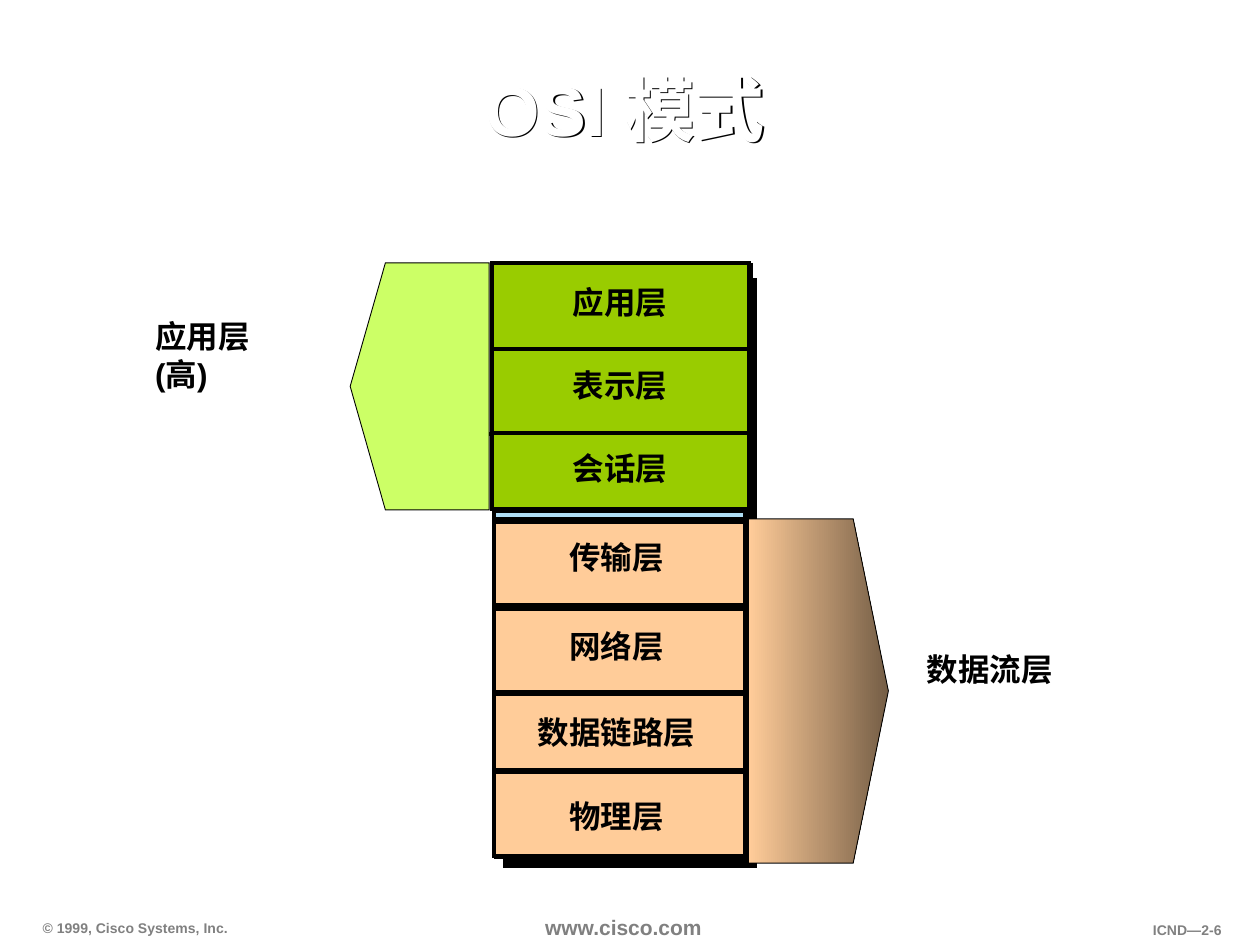
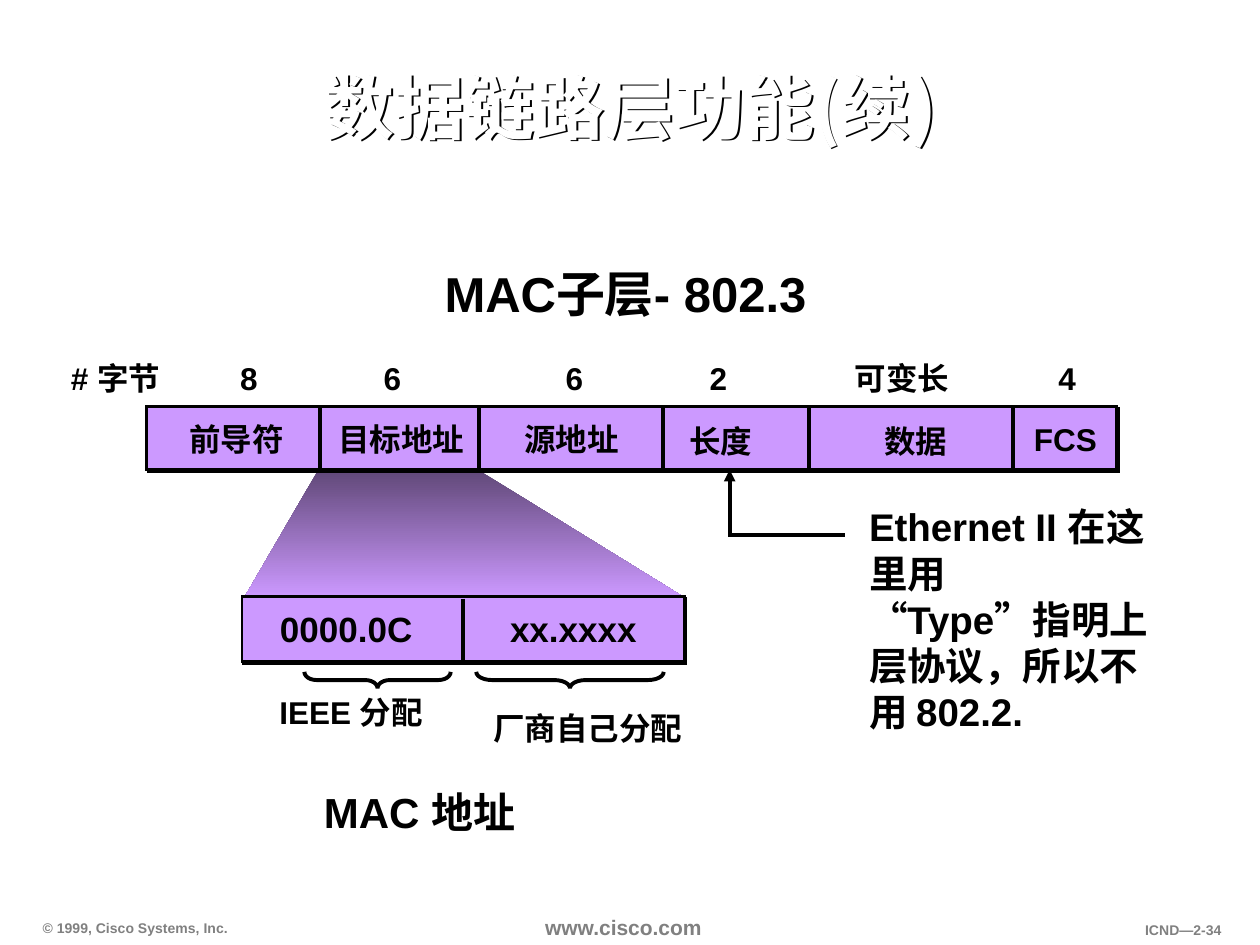
"""Builds two slides on the OSI layers and the MAC frame."""
from dataclasses import dataclass

from lxml import etree
from pptx import Presentation
from pptx import util as u
from pptx.dml.color import RGBColor
from pptx.enum import shapes, text
from pptx.oxml.ns import qn


@dataclass(frozen=True)
class Theme:
    """Colours, fonts, type sizes and line widths of the deck."""
    black: str = "000000"
    white: str = "FFFFFF"
    grey: str = "808080"
    stack: str = "B0DEF5"
    upper: str = "99CC00"
    upper_arrow: str = "CCFF66"
    lower: str = "FFCC99"
    lower_dark: str = "755E46"
    field: str = "CC99FF"
    field_dark: str = "5E4675"
    latin: str = "Arial"
    asian: str = "Noto Sans CJK SC"
    title: float = 40
    heading: float = 28
    caption: float = 24
    note: float = 22
    address: float = 20
    label: float = 18
    site: float = 12
    footer: float = 8
    hairline: float = 0.5
    thin: float = 1.5
    thick: float = 2.25
    shadow: float = 1.4
    deep_shadow: float = 8.5


THEME = Theme()
LEFT, CENTER, RIGHT = text.PP_ALIGN.LEFT, text.PP_ALIGN.CENTER, text.PP_ALIGN.RIGHT
TOP, MIDDLE, BOTTOM = text.MSO_ANCHOR.TOP, text.MSO_ANCHOR.MIDDLE, text.MSO_ANCHOR.BOTTOM


def lengths(values):
    """Turn centimetre values into lengths."""
    return [u.Cm(value) for value in values]


def cast_shadow(shape, distance):
    """Give a shape a hard black shadow to the lower right."""
    effects = etree.SubElement(shape._element.spPr, qn("a:effectLst"))
    shadow = etree.SubElement(effects, qn("a:outerShdw"), blurRad="0",
                              dist=str(int(u.Pt(distance))), dir="2700000",
                              algn="ctr", rotWithShape="0")
    etree.SubElement(shadow, qn("a:srgbClr"), val=THEME.black)


def add_text(page, lines, box, size, align=LEFT, anchor=TOP, color=THEME.black,
             wrap=False, spacing=1.0, inset=(0.25, 0.13), font=THEME.latin, fit=True):
    """Add a bold text box with one paragraph for each line."""
    shape = page.shapes.add_textbox(*lengths(box))
    frame = shape.text_frame
    frame.word_wrap = wrap
    frame.vertical_anchor = anchor
    frame.auto_size = (text.MSO_AUTO_SIZE.SHAPE_TO_FIT_TEXT if fit
                       else text.MSO_AUTO_SIZE.NONE)
    frame.margin_left = frame.margin_right = u.Cm(inset[0])
    frame.margin_top = frame.margin_bottom = u.Cm(inset[1])
    for index, line in enumerate(lines):
        para = frame.add_paragraph() if index else frame.paragraphs[0]
        para.alignment = align
        para.line_spacing = spacing
        span = para.add_run()
        span.text = line
        span.font.size = u.Pt(size)
        span.font.bold = True
        span.font.name = font
        span.font.color.rgb = RGBColor.from_string(color)
        asian = etree.Element(qn("a:ea"), typeface=THEME.asian)
        span._r.get_or_add_rPr().find(qn("a:latin")).addnext(asian)
    return shape


def add_label(page, line, centre, top, size=THEME.label, height=1.02, spacing=1.0):
    """Add a one-line label that is centred on a given x."""
    width = 0.51 + sum(0.64 if ord(letter) > 255 else 0.42 for letter in line)
    add_text(page, [line], (centre - width / 2, top, width, height), size,
             CENTER, MIDDLE, spacing=spacing)


def style_outline(shape, width):
    """Give a shape or connector a black line with sharp corners."""
    shape.line.color.rgb = RGBColor.from_string(THEME.black)
    shape.line.width = u.Pt(width)
    etree.SubElement(shape.line._get_or_add_ln(), qn("a:miter"), lim="800000")


def add_box(page, box, color, width=THEME.thick, shadow=THEME.shadow):
    """Add an outlined rectangle with a hard shadow."""
    shape = page.shapes.add_shape(shapes.MSO_SHAPE.RECTANGLE, *lengths(box))
    shape.fill.solid()
    shape.fill.fore_color.rgb = RGBColor.from_string(color)
    style_outline(shape, width)
    cast_shadow(shape, shadow)


def add_rule(page, start, end):
    """Add a thick straight line."""
    rule = page.shapes.add_connector(shapes.MSO_CONNECTOR.STRAIGHT,
                                     *lengths((*start, *end)))
    style_outline(rule, THEME.thick)
    etree.SubElement(rule._element.spPr, qn("a:effectLst"))


def add_layer_rules(page, starts):
    """Add lines as wide as the stack from the given points."""
    for x, y in starts:
        add_rule(page, (x, y), (x + 5.07, y))


def add_outline(page, points, closed=True):
    """Add a freeform through the given points."""
    corners = [tuple(lengths(point)) for point in points]
    builder = page.shapes.build_freeform(*corners[0], scale=1.0)
    builder.add_line_segments(corners[1:], close=closed)
    shape = builder.convert_to_shape()
    shape.shadow.inherit = False
    return shape


def fill_gradient(shape, start, end, angle):
    """Fill a shape with a two-colour linear gradient."""
    shape.fill.gradient()
    shape.fill.gradient_angle = angle
    for stop, color, position in zip(shape.fill.gradient_stops, (start, end), (0, 1)):
        stop.color.rgb = RGBColor.from_string(color)
        stop.position = position


def add_group_arrow(page, base, shoulder, tip, top, bottom):
    """Add the five-sided arrow that marks a group of layers."""
    shape = add_outline(page, [(base, top), (shoulder, top), (tip, (top + bottom) / 2),
                               (shoulder, bottom), (base, bottom)])
    style_outline(shape, THEME.hairline)
    return shape


def add_brace(page, centre, middle, length, thickness=0.33):
    """Add a brace that opens upwards."""
    box = (centre - thickness / 2, middle - length / 2, thickness, length)
    brace = page.shapes.add_shape(shapes.MSO_SHAPE.RIGHT_BRACE, *lengths(box))
    brace.rotation = 90
    brace.adjustments[0] = length / 12 / thickness
    brace.fill.background()
    brace.shadow.inherit = False
    style_outline(brace, THEME.thick)


def add_elbow_arrow(page, points):
    """Add a bent line with an arrowhead at its start."""
    shape = add_outline(page, points, closed=False)
    shape.fill.background()
    style_outline(shape, THEME.thick)
    etree.SubElement(shape.line._get_or_add_ln(), qn("a:headEnd"), type="triangle")


def add_page(deck, number):
    """Add a blank slide with the shared footer."""
    page = deck.slides.add_slide(deck.slide_layouts[6])
    footers = [
        ("© 1999, Cisco Systems, Inc.", (0.64, 18.42, 4.27, 0.56), THEME.footer, LEFT, BOTTOM),
        ("www.cisco.com", (10.77, 18.34, 3.81, 0.71), THEME.site, LEFT, TOP),
        (f"ICND—{number}", (21.8, 18.47, 3.05, 0.56), THEME.footer, RIGHT, TOP),
    ]
    for line, box, size, align, anchor in footers:
        add_text(page, [line], box, size, align, anchor, THEME.grey, inset=(0.22, 0.1))
    return page


def add_title(page, line, box, font=THEME.latin):
    """Add the white shadowed title."""
    title = add_text(page, [line], box, THEME.title, CENTER, MIDDLE, THEME.white,
                     wrap=True, spacing=0.9, font=font, fit=False)
    cast_shadow(title, THEME.shadow)


def add_osi_slide(deck):
    """Build the slide with the seven OSI layers."""
    page = add_page(deck, "2-6")
    add_title(page, "OSI 模式", (2.01, 1.17, 21.18, 2.24))
    add_box(page, (9.96, 5.44, 5.05, 11.81), THEME.stack, shadow=THEME.deep_shadow)

    add_layer_rules(page, [(9.96, 12.22), (9.93, 13.97), (9.93, 10.46)])
    lower_layers = [("传输层", 10.52, 10.72), ("数据链路层", 13.94, 14.25),
                    ("网络层", 12.27, 12.52), ("物理层", 15.57, 15.94)]
    for name, top, label_top in lower_layers:
        if name == "物理层":
            add_layer_rules(page, [(9.98, 15.52), (10.03, 17.22)])
        add_box(page, (9.96, top, 5.05, 1.68), THEME.lower)
        add_label(page, name, 12.43, label_top)
    flow_arrow = add_group_arrow(page, 15.09, 17.2, 17.91, 10.46, 17.4)
    fill_gradient(flow_arrow, THEME.lower_dark, THEME.lower, 180)
    add_label(page, "数据流层", 19.95, 12.98)

    upper_layers = [("应用层", 5.31, 1.73, 5.58), ("表示层", 7.04, 1.68, 7.25),
                    ("会话层", 8.74, 1.52, 8.92)]
    add_layer_rules(page, [(9.91, 7.04), (9.91, 8.79), (9.86, 8.74)])
    for name, top, height, label_top in upper_layers:
        add_box(page, (9.92, top, 5.18, height), THEME.upper)
        add_label(page, name, 12.5, label_top)
    application_arrow = add_group_arrow(page, 9.86, 7.77, 7.06, 5.3, 10.28)
    application_arrow.fill.solid()
    application_arrow.fill.fore_color.rgb = RGBColor.from_string(THEME.upper_arrow)
    add_text(page, ["应用层", "(高)"], (2.88, 6.26, 2.54, 1.78), THEME.label)


def add_mac_slide(deck):
    """Build the slide with the 802.3 frame and the MAC address."""
    page = add_page(deck, "2-34")
    add_title(page, "数据链路层功能(续)", (2.13, 0.66, 21.18, 3.18), THEME.asian)
    add_text(page, ["MAC子层- 802.3"], (8.31, 5.18, 8.6, 1.45), THEME.heading,
             CENTER, MIDDLE)

    zoom = add_outline(page, [(6.45, 9.42), (4.93, 12.04), (13.79, 12.04), (9.63, 9.47)])
    fill_gradient(zoom, THEME.field_dark, THEME.field, 270)
    zoom.line.fill.background()

    add_box(page, (2.95, 8.2, 19.56, 1.27), THEME.field, THEME.thin)
    for x in (6.45, 9.65, 13.36, 16.31, 20.42):
        add_rule(page, (x, 8.2), (x, 9.47))
    fields = [("前导符", 4.77, "8", 5.02), ("目标地址", 8.09, "6", 7.91),
              ("源地址", 11.52, "6", 11.58), ("长度", 14.53, "2", 14.48),
              ("数据", 18.46, "可变长", 18.18), ("FCS", 21.48, "4", 21.51)]
    add_label(page, "# 字节", 2.33, 7.11)
    for name, centre, octets, octets_centre in fields:
        add_label(page, name, centre, 8.37 if name in ("长度", "数据") else 8.33)
        add_label(page, octets, octets_centre, 7.11)

    add_box(page, (4.88, 12.02, 8.92, 1.32), THEME.field, THEME.thin)
    add_rule(page, (9.33, 12.07), (9.33, 13.34))
    halves = [("0000.0C", 6.98, "IEEE 分配", 7.08, 13.95, 7.61, 2.95),
              ("xx.xxxx", 11.56, "厂商自己分配", 11.85, 14.27, 11.49, 3.78)]
    for digits, centre, owner, owner_centre, owner_top, brace_centre, length in halves:
        add_label(page, digits, centre, 12.12, THEME.address, 1.12)
        add_brace(page, brace_centre, 13.71, length)
        add_label(page, owner, owner_centre, owner_top, height=0.91, spacing=0.85)
    add_text(page, ["MAC 地址"], (6.28, 15.72, 9.22, 1.27), THEME.caption,
             anchor=MIDDLE, wrap=True)

    add_elbow_arrow(page, [(14.71, 9.47), (14.71, 10.79), (17.04, 10.79)])
    add_text(page, ["Ethernet II 在这里用 “Type”指明上层协议，所以不用 802.2."],
             (17.27, 10.48, 6.28, 3.99), THEME.note, anchor=MIDDLE, wrap=True)


def main():
    """Build and save the deck."""
    deck = Presentation()
    deck.slide_width, deck.slide_height = lengths((25.4, 19.05))
    add_osi_slide(deck)
    add_mac_slide(deck)
    deck.save("out.pptx")


if __name__ == "__main__":
    main()
